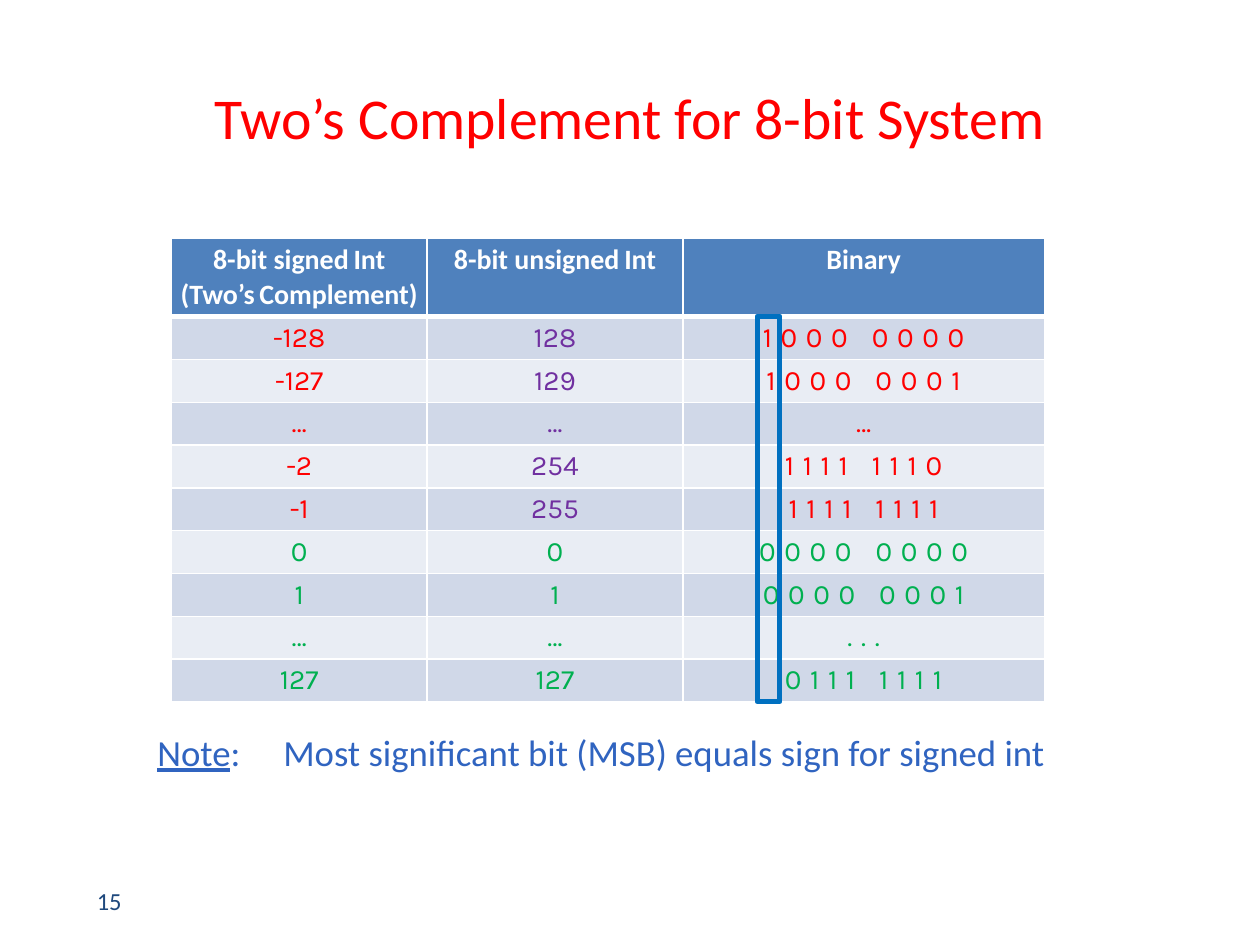
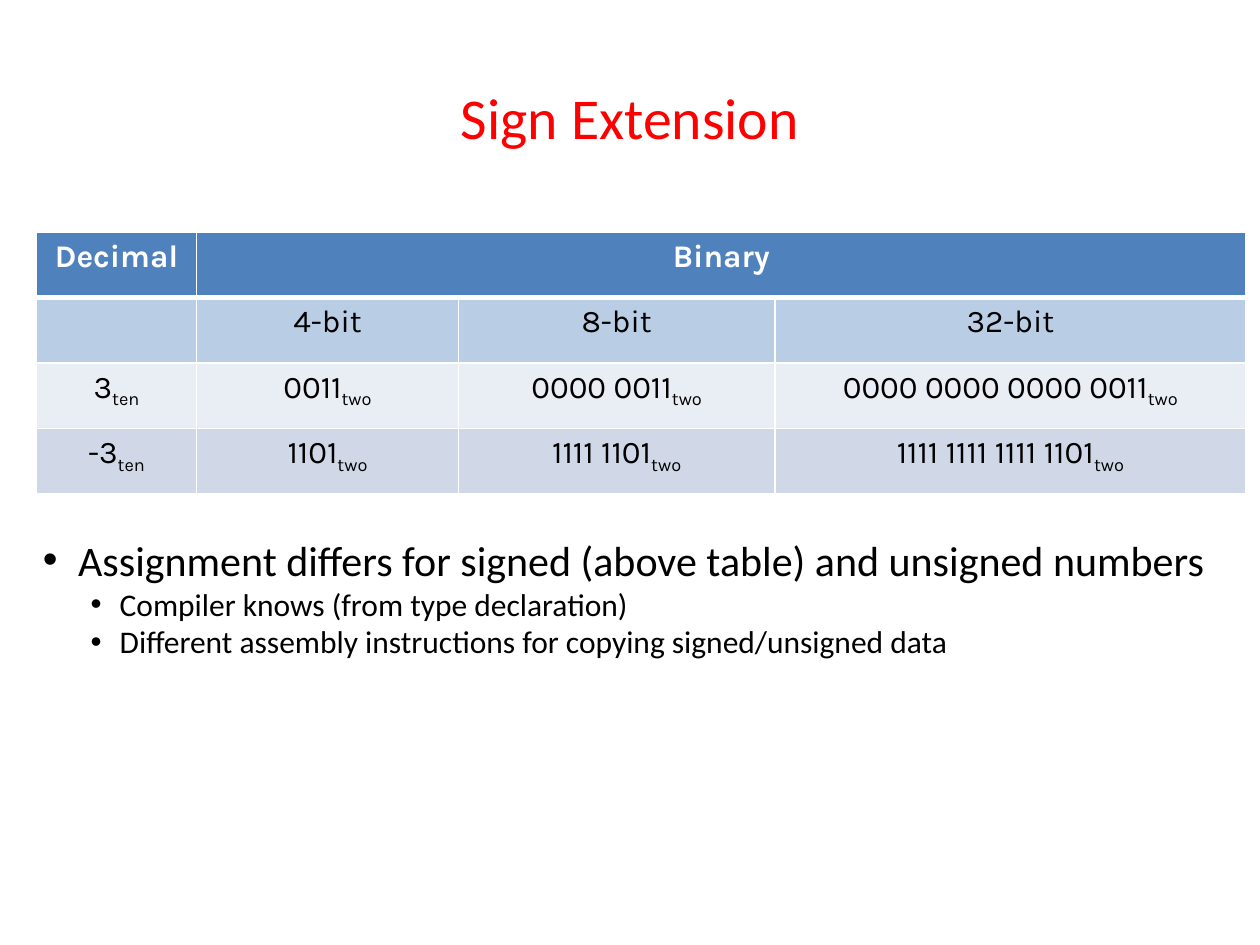
"""Build two slides on two's complement and sign extension."""
from lxml import etree
from pptx import Presentation
from pptx.dml.color import RGBColor
from pptx.enum.shapes import MSO_SHAPE
from pptx.enum.text import MSO_ANCHOR, PP_ALIGN
from pptx.oxml.ns import qn
from pptx.util import Inches, Pt

CENTER = PP_ALIGN.CENTER
MIDDLE = MSO_ANCHOR.MIDDLE
RECT = MSO_SHAPE.RECTANGLE
TITLE_AND_BODY, TITLE_ONLY = 1, 5

SANS, DIGITS = "Calibri", "Karla"
BLACK, WHITE, RED, GREEN, PURPLE = "000000", "FFFFFF", "FF0000", "00B050", "7030A0"
HEADER, SUBHEADER = "4F81BD", "B9CDE5"
BAND_DARK, BAND_LIGHT = "D0D8E8", "E9EDF4"
NOTE_BLUE, FRAME_BLUE, NUMBER_BLUE = "3064C0", "0070C0", "1F497D"


def rgb(value):
    return RGBColor.from_string(value)


def add_text(p, text, size=16, font=SANS, color=BLACK, bold=False,
             underline=False, spacing=0, baseline=0):
    r = p.add_run()
    r.text = text
    r.font.size = Pt(size)
    r.font.name = font
    r.font.color.rgb = rgb(color)
    r.font.bold = bold
    r.font.underline = underline
    rPr = r._r.get_or_add_rPr()
    if spacing:
        rPr.set("spc", str(spacing * 100))
    if baseline:
        rPr.set("baseline", str(baseline * 1000))


def place(sp, left, top, width, height):
    sp.left, sp.top = Inches(left), Inches(top)
    sp.width, sp.height = Inches(width), Inches(height)


def add_slide(prs, layout, title):
    slide = prs.slides.add_slide(prs.slide_layouts[layout])
    place(slide.shapes.title, 0.5, 0.3, 9, 1.25)
    tf = slide.shapes.title.text_frame
    tf.vertical_anchor = MIDDLE
    p = tf.paragraphs[0]
    p.alignment = CENTER
    add_text(p, title, size=33, color=RED)
    return slide


def add_box(slide, left, top, width, height):
    sp = slide.shapes.add_textbox(*map(Inches, (left, top, width, height)))
    sp.text_frame.word_wrap = True
    return sp.text_frame


def add_tab_stop(p, position):
    tabs = etree.SubElement(p._p.get_or_add_pPr(), qn("a:tabLst"))
    etree.SubElement(tabs, qn("a:tab"), pos=str(Inches(position)), algn="l")


def add_bullet(p, text, level, indent, hanging, size):
    p.level = level
    p.space_before = Pt(0)
    pPr = p._p.get_or_add_pPr()
    pPr.set("marL", str(Inches(indent)))
    pPr.set("indent", str(-Inches(hanging)))
    etree.SubElement(pPr, qn("a:buFont"), typeface="Arial")
    etree.SubElement(pPr, qn("a:buChar"), char="•")
    add_text(p, text, size=size)


def set_borders(cell, top, bottom):
    tcPr = cell._tc.get_or_add_tcPr()
    widths = {"a:lnL": 1, "a:lnR": 1, "a:lnT": top, "a:lnB": bottom}
    for i, (tag, width) in enumerate(widths.items()):
        ln = etree.Element(qn(tag), w=str(Pt(width)))
        fill = etree.SubElement(ln, qn("a:solidFill"))
        etree.SubElement(fill, qn("a:srgbClr"), val=WHITE)
        tcPr.insert(i, ln)


def add_table(slide, left, top, widths, row_height, rows, fills, margins):
    """Draw rows of cells, each cell being a list of (text, format) runs."""
    frame = slide.shapes.add_table(
        len(rows), len(widths), Inches(left), Inches(top),
        Inches(sum(widths)), Inches(row_height * len(rows)))
    table = frame.table
    for column, width in zip(table.columns, widths):
        column.width = Inches(width)
    for i, (row, fill) in enumerate(zip(rows, fills)):
        for j, runs in enumerate(row):
            cell = table.cell(i, j)
            cell.margin_left = cell.margin_right = Inches(margins[0])
            cell.margin_top = cell.margin_bottom = Inches(margins[1])
            cell.fill.solid()
            cell.fill.fore_color.rgb = rgb(fill)
            set_borders(cell, 3 if i == 1 else 1, 3 if i == 0 else 1)
            p = cell.text_frame.paragraphs[0]
            p.alignment = CENTER
            for text, fmt in runs:
                add_text(p, text, **fmt)
    return table


def narrow_spaced(*parts):
    """Header runs joined by narrow spaces."""
    runs = []
    for part in parts:
        if runs:
            runs.append((" ", dict(size=10.5, font=DIGITS, color=WHITE, bold=True)))
        runs.append((part, dict(color=WHITE, bold=True)))
    return runs


def integer_row(signed, unsigned, binary, negative):
    color = RED if negative else GREEN
    return [
        [(signed, dict(font=DIGITS, color=color))],
        [(unsigned, dict(font=DIGITS, color=PURPLE if negative else GREEN))],
        [(binary, dict(font=DIGITS, color=color, spacing=5))],
    ]


def label(text, **fmt):
    return [(text, dict(size=18, font=DIGITS, **fmt))]


def based(number, base):
    return label(number) + label(base, baseline=-25)


def build_complement(prs):
    slide = add_slide(prs, TITLE_ONLY, "Two’s Complement for 8-bit System")
    negatives = [("-128", "128", "1000 0000"), ("-127", "129", "1000 0001"),
                 ("…", "…", "…"), ("-2", "254", "1111 1110"),
                 ("-1", "255", "1111 1111")]
    positives = [("0", "0", "0000 0000"), ("1", "1", "0000 0001"),
                 ("…", "…", "..."), ("127", "127", "0111 1111")]
    rows = [[narrow_spaced("8-bit signed", "Int (Two’s", "Complement)"),
             narrow_spaced("8-bit unsigned", "Int"),
             narrow_spaced("Binary")]]
    rows += [integer_row(*values, True) for values in negatives]
    rows += [integer_row(*values, False) for values in positives]
    fills = [HEADER] + [BAND_LIGHT if i % 2 else BAND_DARK
                        for i in range(len(rows) - 1)]
    add_table(slide, 1.36, 1.89, [2.03, 2.03, 2.87], 0.3, rows, fills, (0.07, 0.04))

    p = add_box(slide, 1.15, 5.74, 7.31, 0.45).paragraphs[0]
    add_tab_stop(p, 1)
    add_text(p, "Note", size=21, color=NOTE_BLUE, underline=True)
    add_text(p, ":\tMost significant bit (MSB) equals sign for signed int",
             size=21, color=NOTE_BLUE)

    sign_frame = slide.shapes.add_shape(
        RECT, *map(Inches, (6.01, 2.51, 0.18, 3.06)))
    sign_frame.shadow.inherit = False
    sign_frame.fill.background()
    sign_frame.line.color.rgb = rgb(FRAME_BLUE)
    sign_frame.line.width = Pt(3)

    tf = add_box(slide, 0.67, 6.95, 2.17, 0.4)
    tf.vertical_anchor = MIDDLE
    add_text(tf.paragraphs[0], "15", size=14, color=NUMBER_BLUE)


def build_extension(prs):
    slide = add_slide(prs, TITLE_AND_BODY, "Sign Extension")
    body = slide.placeholders[1]
    place(body, 0.24, 4.19, 9.52, 1.11)
    tf = body.text_frame
    tf.word_wrap = True
    add_bullet(tf.paragraphs[0],
               "Assignment differs for signed (above table) and unsigned numbers",
               0, 0.28, 0.28, 24)
    for text in ("Compiler knows (from type declaration)",
                 "Different assembly instructions for copying signed/unsigned data"):
        add_bullet(tf.add_paragraph(), text, 1, 0.61, 0.23, 18)

    numbers = [("3", "0011", "0000 0011", "0000 0000 0000 0011"),
               ("-3", "1101", "1111 1101", "1111 1111 1111 1101")]
    rows = [[label("Decimal", color=WHITE, bold=True),
             label("Binary", color=WHITE, bold=True), [], []],
            [[], label("4-bit"), label("8-bit"), label("32-bit")]]
    rows += [[based(decimal, "ten")] + [based(bits, "two") for bits in binaries]
             for decimal, *binaries in numbers]
    table = add_table(slide, 0.29, 1.84, [1.27, 2.08, 2.51, 3.74], 0.52, rows,
                      [HEADER, SUBHEADER, BAND_LIGHT, BAND_DARK], (0.13, 0.05))
    table.cell(0, 1).merge(table.cell(0, 3))


def main():
    prs = Presentation()
    prs.slide_width, prs.slide_height = Inches(10), Inches(7.5)
    build_complement(prs)
    build_extension(prs)
    prs.save("out.pptx")


if __name__ == "__main__":
    main()
